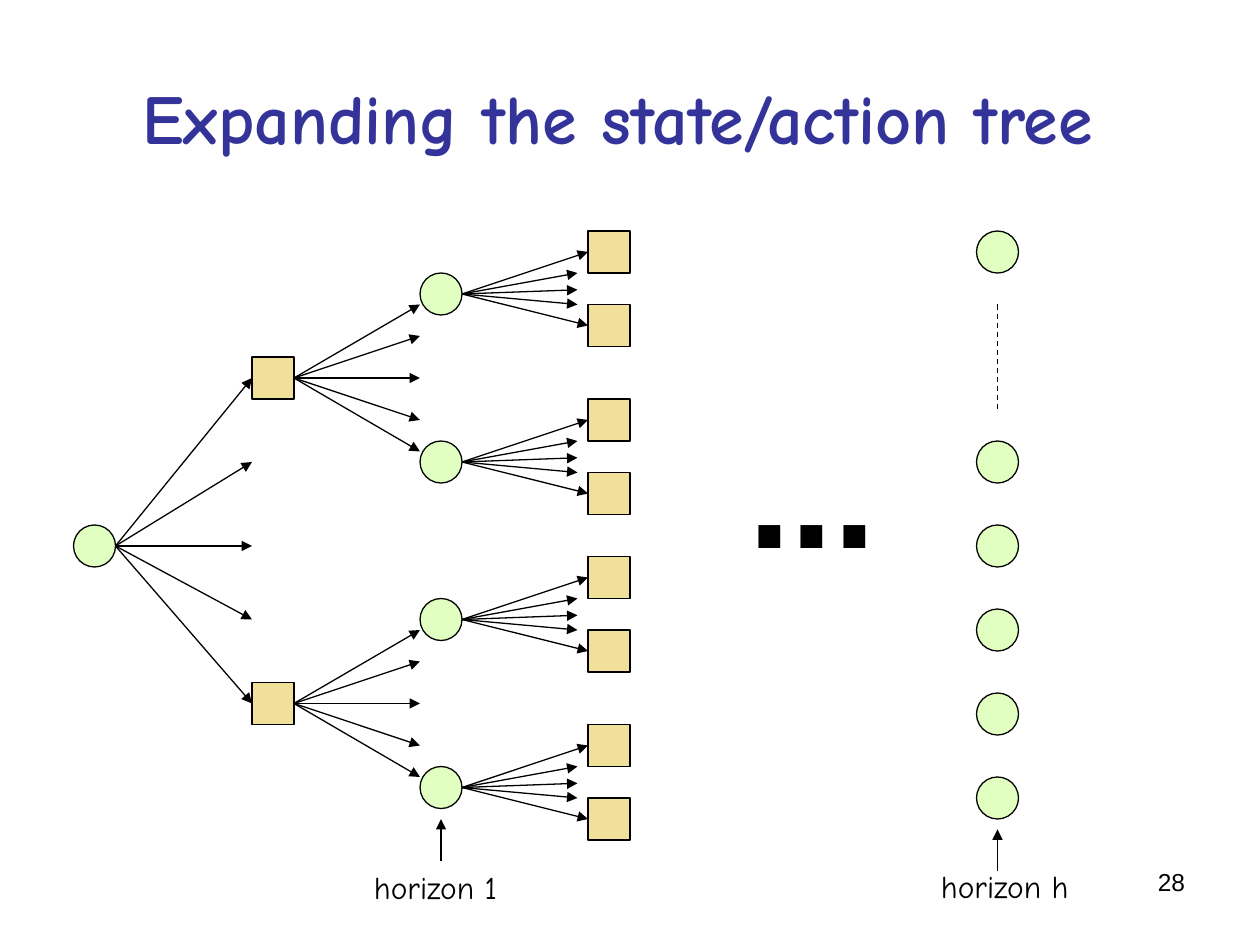
"""Build the slide that expands a state/action tree up to horizon h."""
from lxml import etree
from pptx import Presentation
from pptx import util as u
from pptx.dml.color import RGBColor
from pptx.enum import dml, shapes, text
from pptx.oxml.ns import qn

COLORS = {"ink": "000000", "title": "333399", "state": "E0FFC1", "action": "F0E09A"}
KINDS = {"state": shapes.MSO_SHAPE.OVAL, "action": shapes.MSO_SHAPE.RECTANGLE}
UNIT = 2.54 / 12
NODE = 4
ROOT_Y = 52
ROOT_FAN = (-16, -8, 0, 7, 15)
ACTION_FAN = (-7, -4, 0, 4, 7)
STATE_OFFSETS = (-8, 8)
LEAF_OFFSETS = (-4, 3)
STUB_OFFSETS = (-2, -0.4, 1)
HORIZON_YS = (24, 44, 52, 60, 68, 76)


def rgb(name):
    """Return the named colour."""
    return RGBColor.from_string(COLORS[name])


def grid(n):
    """Return the length of n twelfths of an inch."""
    return u.Cm(n * UNIT)


def set_all(obj, values):
    """Set each attribute of obj from a dict."""
    for name, value in values.items():
        setattr(obj, name, value)


def add_text(s, words, box, font, color="ink", align=text.PP_ALIGN.LEFT, **frame):
    """Add one line of text in a box given in centimetres."""
    sp = s.shapes.add_textbox(*(u.Cm(v) for v in box))
    tf = sp.text_frame
    set_all(tf, {"word_wrap": True, **frame})
    p = tf.paragraphs[0]
    p.alignment = align
    r = p.add_run()
    r.text = words
    set_all(r.font, font)
    r.font.color.rgb = rgb(color)


def add_node(s, kind, left, cy):
    """Add a state circle or an action square centred at height cy."""
    sp = s.shapes.add_shape(KINDS[kind], grid(left), grid(cy - NODE / 2), grid(NODE), grid(NODE))
    sp.shadow.inherit = False
    sp.fill.solid()
    sp.fill.fore_color.rgb = rgb(kind)
    sp.line.color.rgb = rgb("ink")
    sp.line.width = u.Pt(0.75)
    return sp


def add_line(s, start, end, source=None, target=None, dashed=False):
    """Add an arrow, or a dashed line, joined to square nodes where given."""
    ends = [grid(v) for v in (*start, *end)]
    cxn = s.shapes.add_connector(shapes.MSO_CONNECTOR.STRAIGHT, *ends)
    cxn.line.color.rgb = rgb("ink")
    cxn.line.width = u.Pt(0.75)
    if dashed:
        cxn.line.dash_style = dml.MSO_LINE.DASH
    else:
        etree.SubElement(cxn.line._get_or_add_ln(), qn("a:tailEnd"), type="triangle")
    etree.SubElement(cxn._element.spPr, qn("a:effectLst"))
    if source is not None:
        cxn.begin_connect(source, 3)
    if target is not None:
        cxn.end_connect(target, 1)


def add_state(s, cy):
    """Add a horizon 1 state with its two leaf actions and inner arrows."""
    add_node(s, "state", 40, cy)
    for dy in LEAF_OFFSETS:
        leaf = add_node(s, "action", 56, cy + dy)
        add_line(s, (44, cy), (56, cy + dy), target=leaf)
    for dy in STUB_OFFSETS:
        add_line(s, (44, cy), (55, cy + dy))


def add_action(s, cy):
    """Add an action with its fan of arrows and next states."""
    sp = add_node(s, "action", 24, cy)
    for dy in ACTION_FAN:
        add_line(s, (28, cy), (40, cy + dy), source=sp)
    for dy in STATE_OFFSETS:
        add_state(s, cy + dy)
    return sp


def add_tree(s):
    """Add the root state, its arrows and the outer two actions."""
    add_node(s, "state", 7, ROOT_Y)
    for dy in ROOT_FAN:
        outer = dy in (ROOT_FAN[0], ROOT_FAN[-1])
        target = add_action(s, ROOT_Y + dy) if outer else None
        add_line(s, (11, ROOT_Y), (24, ROOT_Y + dy), target=target)


def add_horizon(s):
    """Add the column of states at horizon h."""
    for cy in HORIZON_YS:
        add_node(s, "state", 93, cy)
    add_line(s, (95, 29), (95, 39), dashed=True)


def main():
    """Build and save the slide."""
    prs = Presentation()
    prs.slide_width, prs.slide_height = u.Cm(25.4), u.Cm(19.05)
    s = prs.slides.add_slide(prs.slide_layouts[6])
    add_text(s, "Expanding the state/action tree ", (1.27, 0.76, 22.86, 3.18),
             {"name": "Comic Neue", "size": u.Pt(40), "bold": True}, "title",
             text.PP_ALIGN.CENTER, vertical_anchor=text.MSO_ANCHOR.MIDDLE)
    add_horizon(s)
    add_tree(s)
    add_line(s, (42, 82), (42, 78))
    add_line(s, (95, 83), (95, 79))
    add_text(s, "...", (14.83, 7.82, 3.1, 3.99),
             {"name": "Arial", "size": u.Pt(88), "bold": True}, word_wrap=False)
    label = {"name": "Comic Neue", "size": u.Pt(18)}
    add_text(s, "horizon 1", (7.29, 17.37, 3, 1.02), label, word_wrap=False)
    add_text(s, "horizon h", (18.72, 17.35, 3.1, 1.02), label, word_wrap=False)
    add_text(s, "28", (18.21, 17.35, 5.93, 1.32),
             {"name": "Arial", "size": u.Pt(14)}, align=text.PP_ALIGN.RIGHT)
    prs.save("out.pptx")


if __name__ == "__main__":
    main()
